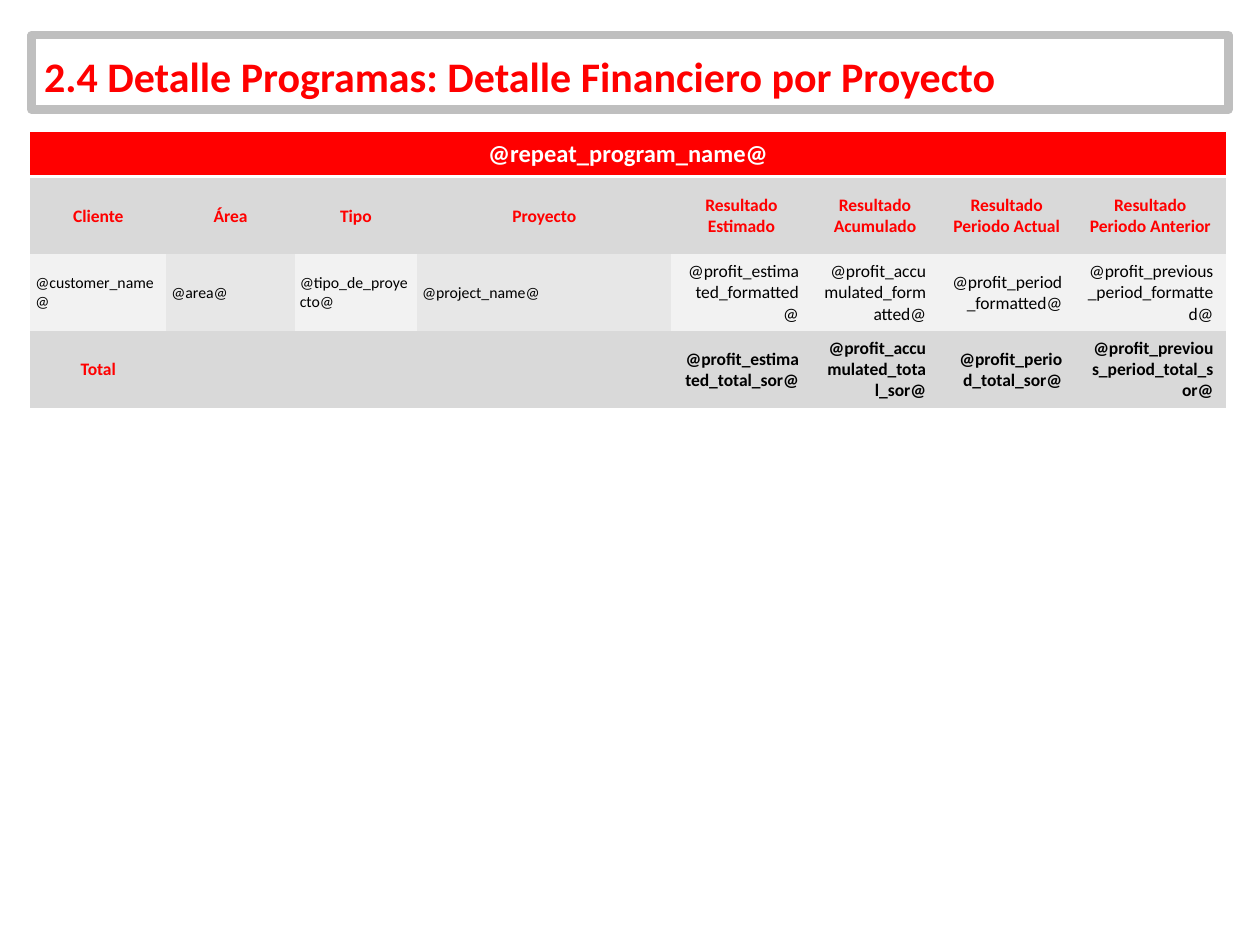
from pptx import Presentation
from pptx import util as u
from pptx.dml.color import RGBColor
from pptx.enum import text

HUES = {"red": "FF0000", "white": "FFFFFF", "black": "000000", "frame": "BFBFBF",
        "head": "D9D9D9", "pale": "F2F2F2", "mid": "E7E7E7"}
PLAIN = "{2D5ABB26-0587-4C30-8999-92F81FD0307C}"
LEFT, MID, RIGHT = text.PP_ALIGN.LEFT, text.PP_ALIGN.CENTER, text.PP_ALIGN.RIGHT

WIDTHS = [1.08, 1.02, 0.97, 2.02, 1.11, 1.01, 1.08, 1.2]
LABELS = 4
HEADS = ["Cliente", "Área", "Tipo", "Proyecto", "Resultado Estimado",
         "Resultado Acumulado", "Resultado\nPeriodo Actual", "Resultado Periodo Anterior"]
FIELDS = ["@customer_name@", "@area@", "@tipo_de_proyecto@", "@project_name@",
          "@profit_estimated_formatted@", "@profit_accumulated_formatted@",
          "@profit_period_formatted@", "@profit_previous_period_formatted@"]
TOTALS = ["Total", "", "", "", "@profit_estimated_total_sor@",
          "@profit_accumulated_total_sor@", "@profit_period_total_sor@",
          "@profit_previous_period_total_sor@"]


def hue(name):
    return RGBColor.from_string(HUES[name])


def write(frame, words, size, color, bold=True, align=LEFT):
    para = frame.paragraphs[0]
    para.alignment = align
    for i, line in enumerate(words.split("\n")):
        if i:
            para.add_line_break()
        run = para.add_run()
        run.text = line
        run.font.name = "Calibri"
        run.font.size = u.Pt(size)
        run.font.bold = bold
        run.font.color.rgb = hue(color)


def add_title(slide, words):
    box = slide.shapes.title
    box.left, box.top = u.Inches(0.25), u.Inches(0.28)
    box.width, box.height = u.Inches(9.5), u.Inches(0.59)
    box.line.color.rgb = hue("frame")
    box.line.width = u.Pt(4.75)
    frame = box.text_frame
    frame.word_wrap = True
    frame.auto_size = text.MSO_AUTO_SIZE.NONE
    frame.vertical_anchor = text.MSO_ANCHOR.MIDDLE
    frame.margin_left = frame.margin_right = frame.margin_top = u.Inches(0.1)
    frame.margin_bottom = u.Inches(0.05)
    write(frame, words, 24, "red")


def add_grid(slide, top, widths, rows, high):
    shape = slide.shapes.add_table(rows, len(widths), u.Inches(0.24), u.Inches(top),
                                   u.Inches(sum(widths)), u.Inches(high * rows))
    grid = shape.table
    grid.first_row = grid.horz_banding = False
    grid._tbl.tblPr.find("{*}tableStyleId").text = PLAIN
    for col, wide in zip(grid.columns, widths):
        col.width = u.Inches(wide)
    for row in grid.rows:
        row.height = u.Inches(high)
    return grid


def fill_cell(cell, words, fill, size, color, bold, align, side=0.1):
    cell.fill.solid()
    cell.fill.fore_color.rgb = hue(fill)
    cell.vertical_anchor = text.MSO_ANCHOR.MIDDLE
    cell.margin_left = cell.margin_right = u.Inches(side)
    if words:
        write(cell.text_frame, words, size, color, bold, align)


def add_detail(slide):
    grid = add_grid(slide, 1.41, WIDTHS, 3, 0.61)
    for c, (head, field, total) in enumerate(zip(HEADS, FIELDS, TOTALS)):
        label = c < LABELS
        side = 0.04 if label else 0.1
        tint = "mid" if label and c % 2 else "pale"
        fill_cell(grid.cell(0, c), head, "head", 10, "red", True, MID, side)
        fill_cell(grid.cell(1, c), field, tint, 9 if label else 10, "black", False,
                  LEFT if label else RIGHT, side)
        fill_cell(grid.cell(2, c), total, "head", 10, "red" if label else "black", True,
                  MID if label else RIGHT, side)


def main():
    deck = Presentation()
    deck.slide_width, deck.slide_height = u.Inches(10), u.Inches(7.5)
    slide = deck.slides.add_slide(deck.slide_layouts[5])
    add_title(slide, "2.4 Detalle Programas: Detalle Financiero por Proyecto")
    band = add_grid(slide, 1.05, [9.49], 1, 0.34)
    fill_cell(band.cell(0, 0), "@repeat_program_name@", "red", 14, "white", True, MID)
    add_detail(slide)
    deck.save("out.pptx")


if __name__ == "__main__":
    main()
